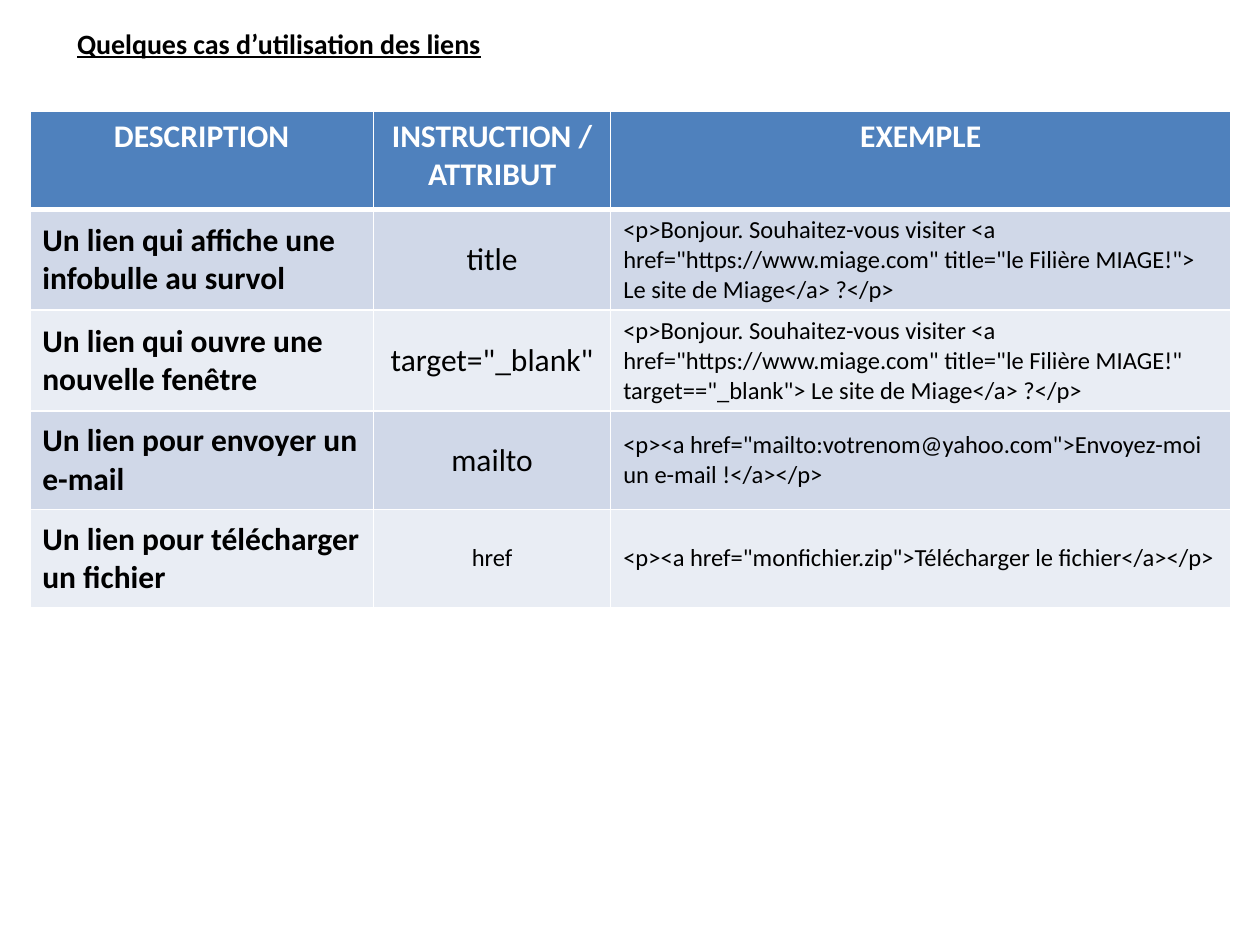
from dataclasses import dataclass

from lxml.etree import SubElement
from pptx import Presentation
from pptx.dml.color import RGBColor
from pptx.enum.text import MSO_ANCHOR, MSO_AUTO_SIZE, PP_ALIGN
from pptx.oxml.ns import qn
from pptx.util import Cm, Pt


@dataclass(frozen=True)
class Theme:
    font: str = "Calibri"
    text: str = "000000"
    white: str = "FFFFFF"
    header: str = "4F81BD"
    bands: tuple = ("D0D8E8", "E9EDF4")
    title_size: int = 16
    label_size: int = 18
    code_size: int = 14
    line: int = 1
    header_line: int = 3


THEME = Theme()

TITLE = "Quelques cas d’utilisation des liens"
HEADINGS = ("DESCRIPTION", "INSTRUCTION / ATTRIBUT", "EXEMPLE")
# Description, attribute, attribute size, example
LINK_CASES = (
    ("Un lien qui affiche une infobulle au survol", "title", THEME.label_size,
     '<p>Bonjour. Souhaitez-vous visiter <a href="https://www.miage.com" '
     'title="le Filière MIAGE!"> Le site de Miage</a> ?</p>'),
    ("Un lien qui ouvre une nouvelle fenêtre", 'target="_blank"', THEME.label_size,
     '<p>Bonjour. Souhaitez-vous visiter <a href="https://www.miage.com" '
     'title="le Filière MIAGE!"  target=="_blank"> Le site de Miage</a> ?</p>'),
    ("Un lien pour envoyer un e-mail", "mailto", THEME.label_size,
     '<p><a href="mailto:votrenom@yahoo.com">Envoyez-moi un e-mail !</a></p>'),
    ("Un lien pour télécharger un fichier", "href", THEME.code_size,
     '<p><a href="monfichier.zip">Télécharger le fichier</a></p>'),
)
COLUMN_WIDTHS = (6.93, 4.78, 12.5)


def add_text(frame, text, size, color=THEME.text, bold=False,
             underline=False, align=PP_ALIGN.LEFT):
    para = frame.paragraphs[0]
    para.alignment = align
    span = para.add_run()
    span.text = text
    span.font.name = THEME.font
    span.font.size = Pt(size)
    span.font.bold = bold
    span.font.underline = underline
    span.font.color.rgb = RGBColor.from_string(color)


def style_cell(cell, fill, top=THEME.line, bottom=THEME.line):
    # Borders come before the fill in the cell properties
    properties = cell._tc.get_or_add_tcPr()
    sides = {"L": THEME.line, "R": THEME.line, "T": top, "B": bottom}
    for side, width in sides.items():
        border = SubElement(properties, qn(f"a:ln{side}"), w=str(Pt(width)))
        solid = SubElement(border, qn("a:solidFill"))
        SubElement(solid, qn("a:srgbClr"), val=THEME.white)
    cell.fill.solid()
    cell.fill.fore_color.rgb = RGBColor.from_string(fill)


def place_title(page, left, top, width, height):
    box = page.shapes.title
    box.left, box.top, box.width, box.height = left, top, width, height
    frame = box.text_frame
    frame.word_wrap = False
    frame.auto_size = MSO_AUTO_SIZE.SHAPE_TO_FIT_TEXT
    frame.vertical_anchor = MSO_ANCHOR.TOP
    add_text(frame, TITLE, THEME.title_size, bold=True, underline=True)


def place_table(page, left, top, width, height):
    table = page.shapes.add_table(len(LINK_CASES) + 1, len(HEADINGS),
                                  left, top, width, height).table
    for column, share in zip(table.columns, COLUMN_WIDTHS):
        column.width = int(width * share / sum(COLUMN_WIDTHS))

    # Header row
    for index, heading in enumerate(HEADINGS):
        cell = table.cell(0, index)
        style_cell(cell, THEME.header, bottom=THEME.header_line)
        add_text(cell.text_frame, heading, THEME.label_size, THEME.white,
                 bold=True, align=PP_ALIGN.CENTER)

    # Banded body rows
    for row, (description, attribute, size, example) in enumerate(LINK_CASES, 1):
        cells = [table.cell(row, index) for index in range(len(HEADINGS))]
        for cell in cells:
            style_cell(cell, THEME.bands[(row - 1) % 2],
                       top=THEME.header_line if row == 1 else THEME.line)
            cell.vertical_anchor = MSO_ANCHOR.MIDDLE
        add_text(cells[0].text_frame, description, THEME.label_size, bold=True)
        add_text(cells[1].text_frame, attribute, size, align=PP_ALIGN.CENTER)
        add_text(cells[2].text_frame, example, THEME.code_size)


def main():
    deck = Presentation()
    deck.slide_width, deck.slide_height = Cm(25.4), Cm(19.05)
    page = deck.slides.add_slide(deck.slide_layouts[5])
    place_title(page, Cm(1.3), Cm(0.4), Cm(8.74), Cm(0.94))
    place_table(page, Cm(0.6), Cm(2.24), Cm(24.21), Cm(9.9))
    deck.save("out.pptx")


if __name__ == "__main__":
    main()
